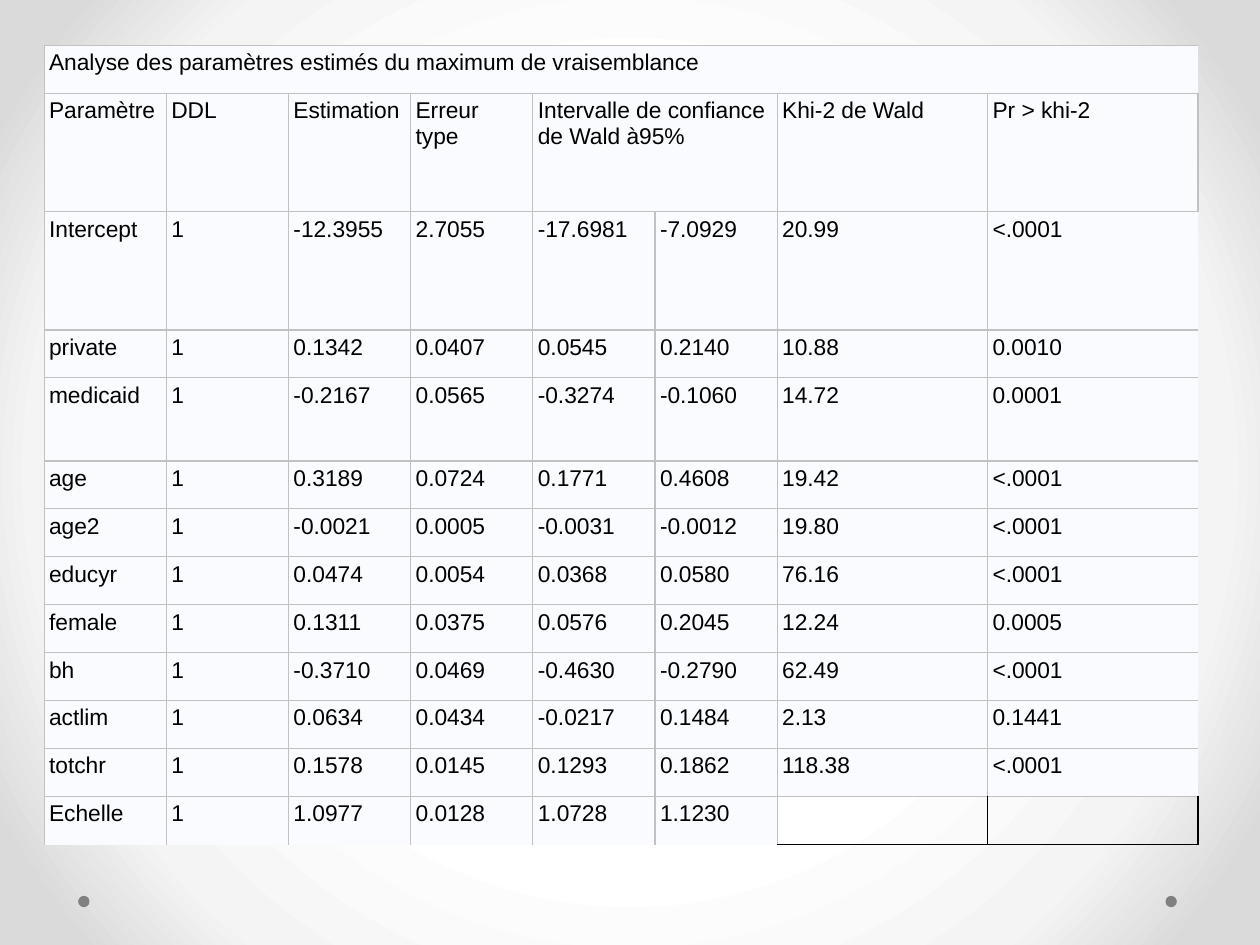
from dataclasses import dataclass

from lxml.etree import SubElement as Sub
from pptx import Presentation
from pptx.dml.color import RGBColor as RGB
from pptx.enum.shapes import MSO_SHAPE as Shape
from pptx.oxml.ns import qn
from pptx.util import Inches, Pt

GRAY = RGB(0xC1, 0xC1, 0xC1)
BLACK = RGB(0, 0, 0)
PALE = RGB(0xFA, 0xFB, 0xFE)
DOT = RGB(0x80, 0x80, 0x80)
STOPS = (
    (50, RGB(0xFF, 0xFF, 0xFF)),
    (76, RGB(0xF4, 0xF4, 0xF4)),
    (92, RGB(0xDA, 0xDA, 0xDA)),
)
PLAIN = "{2D5ABB26-0587-4C30-8999-92F81FD0307C}"
WIDTHS = [0.97] * 6 + [1.67] * 2
TITLE = "Analyse des paramètres estimés du maximum de vraisemblance"


@dataclass
class Row:
    cells: tuple
    height: float = 0.38


ROWS = [
    Row((TITLE,)),
    Row(("Paramètre", "DDL", "Estimation", "Erreur\ntype",
         "Intervalle de confiance\nde Wald à95%", "", "Khi-2 de Wald",
         "Pr > khi-2"), 0.94),
    Row(("Intercept", "1", "-12.3955", "2.7055", "-17.6981", "-7.0929", "20.99", "<.0001"), 0.94),
    Row(("private", "1", "0.1342", "0.0407", "0.0545", "0.2140", "10.88", "0.0010")),
    Row(("medicaid", "1", "-0.2167", "0.0565", "-0.3274", "-0.1060", "14.72", "0.0001"), 0.66),
    Row(("age", "1", "0.3189", "0.0724", "0.1771", "0.4608", "19.42", "<.0001")),
    Row(("age2", "1", "-0.0021", "0.0005", "-0.0031", "-0.0012", "19.80", "<.0001")),
    Row(("educyr", "1", "0.0474", "0.0054", "0.0368", "0.0580", "76.16", "<.0001")),
    Row(("female", "1", "0.1311", "0.0375", "0.0576", "0.2045", "12.24", "0.0005")),
    Row(("bh", "1", "-0.3710", "0.0469", "-0.4630", "-0.2790", "62.49", "<.0001")),
    Row(("actlim", "1", "0.0634", "0.0434", "-0.0217", "0.1484", "2.13", "0.1441")),
    Row(("totchr", "1", "0.1578", "0.0145", "0.1293", "0.1862", "118.38", "<.0001")),
    Row(("Echelle", "1", "1.0977", "0.0128", "1.0728", "1.1230")),
]


def tint(node, color: RGB) -> None:
    Sub(node, qn("a:srgbClr"), val=str(color))


def paint(slide) -> None:
    slide.background.fill.solid()
    props = slide.element.find(".//" + qn("p:bgPr"))
    props.remove(props[0])
    grad = Sub(props, qn("a:gradFill"), rotWithShape="1")
    props.insert(0, grad)
    stops = Sub(grad, qn("a:gsLst"))
    for pos, color in STOPS:
        tint(Sub(stops, qn("a:gs"), pos=str(pos * 1000)), color)
    path = Sub(grad, qn("a:path"), path="circle")
    Sub(path, qn("a:fillToRect"), l="50000", t="50000", r="50000", b="50000")


def write(frame, text: str, *, size: float = 13, color: RGB = BLACK, face: str = "Arial") -> None:
    line = frame.paragraphs[0]
    line.text = text
    for run in line.runs:
        run.font.size = Pt(size)
        run.font.name = face
        run.font.color.rgb = color


def edge(cell, sides: str, color: RGB, width: float) -> None:
    props = cell._tc.get_or_add_tcPr()
    drawn = [side for side in "LRTB" if side in sides]
    for spot, side in enumerate(drawn):
        line = Sub(props, qn("a:ln" + side), w=str(Pt(width)))
        tint(Sub(line, qn("a:solidFill")), color)
        props.insert(spot, line)


def sides(row: int, col: int) -> str:
    end = len(ROWS) - 1
    found = "LT"
    if row and col < (5 if row == end else 7):
        found += "R"
    if row < end and not (row == end - 1 and col > 5):
        found += "B"
    return found


def grid(slide) -> None:
    total = sum(row.height for row in ROWS)
    frame = slide.shapes.add_table(
        len(ROWS), len(WIDTHS), Inches(0.35), Inches(0.36),
        Inches(sum(WIDTHS)), Inches(total))
    table = frame.table
    table.first_row = table.horz_banding = False
    table._tbl.tblPr.find(qn("a:tableStyleId")).text = PLAIN
    for col, width in zip(table.columns, WIDTHS):
        col.width = Inches(width)
    for r, row in enumerate(ROWS):
        table.rows[r].height = Inches(row.height)
        for c in range(len(WIDTHS)):
            cell = table.cell(r, c)
            cell.margin_left = cell.margin_right = Inches(0.04)
            cell.margin_top = cell.margin_bottom = Inches(0.04)
            if r == len(ROWS) - 1 and c > 5:
                cell.fill.background()
                edge(cell, "RB", BLACK, 1)
                continue
            cell.fill.solid()
            cell.fill.fore_color.rgb = PALE
            edge(cell, sides(r, c), GRAY, 0.75)
            if c < len(row.cells):
                write(cell.text_frame, row.cells[c])
    table.cell(0, 0).merge(table.cell(0, 7))
    table.cell(1, 4).merge(table.cell(1, 5))


def dot(slide, left: float) -> None:
    mark = slide.shapes.add_shape(
        Shape.OVAL, Inches(left), Inches(7.11), Inches(0.09), Inches(0.09))
    mark.shadow.inherit = False
    mark.fill.solid()
    mark.fill.fore_color.rgb = DOT
    mark.line.fill.background()


def main() -> None:
    deck = Presentation()
    deck.slide_width, deck.slide_height = Inches(10), Inches(7.5)
    slide = deck.slides.add_slide(deck.slide_layouts[6])
    paint(slide)
    for left in (9.25, 0.62):
        dot(slide, left)
    grid(slide)
    deck.save("out.pptx")


if __name__ == "__main__":
    main()
